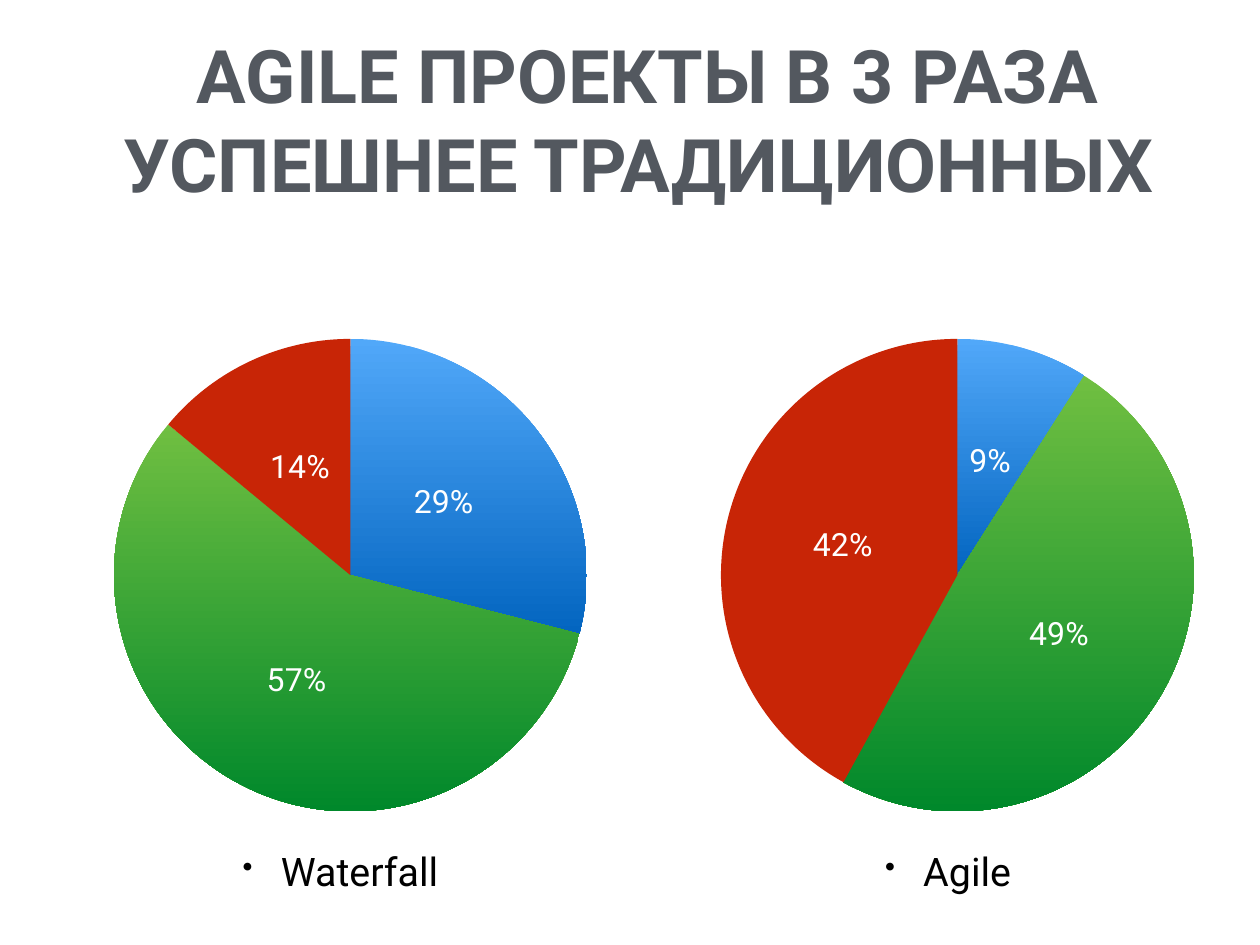
from dataclasses import dataclass

from lxml import etree
from pptx import Presentation
from pptx.chart.data import CategoryChartData
from pptx.dml.color import RGBColor
from pptx.enum.chart import XL_CHART_TYPE, XL_LABEL_POSITION
from pptx.enum.text import MSO_ANCHOR, MSO_AUTO_SIZE, PP_ALIGN
from pptx.oxml import parse_xml
from pptx.oxml.ns import nsdecls, qn
from pptx.util import Inches, Pt

PIE = XL_CHART_TYPE.PIE
MIDDLE = XL_LABEL_POSITION.CENTER
TOP = MSO_ANCHOR.TOP
FIXED = MSO_AUTO_SIZE.NONE
CENTER = PP_ALIGN.CENTER


@dataclass(frozen=True)
class Theme:
    font: str = "Roboto"
    title: str = "53585F"
    text: str = "000000"
    label: str = "FFFFFF"
    fills: tuple = (("51A8F9", "0365C0"), ("70BF41", "00882B"), ("C82506",))
    title_size: int = 60
    name_size: int = 32
    label_size: int = 26
    chart_size: int = 10


@dataclass(frozen=True)
class Method:
    name: str
    shares: tuple
    left: float
    name_left: float
    name_width: float


THEME = Theme()
TITLE = "AGILE ПРОЕКТЫ В 3 РАЗА УСПЕШНЕЕ ТРАДИЦИОННЫХ "
METHODS = (
    Method("Waterfall", (29, 57, 14), 1.26, 2.68, 2.56),
    Method("Agile", (9, 49, 42), 8.11, 9.93, 1.74),
)
PIE_TOP, PIE_SIZE = 3.8, 5.39
NAME_TOP, NAME_HEIGHT = 9.5, 0.71
INSET, INDENT = 0.06, 0.43


def style(font, size: int, color: str, bold: bool = False) -> None:
    font.name = THEME.font
    font.size = Pt(size)
    font.bold = bold
    font.color.rgb = RGBColor.from_string(color)


def set_frame(frame, top: float) -> None:
    frame.word_wrap = True
    frame.auto_size = FIXED
    frame.vertical_anchor = TOP
    frame.margin_left = frame.margin_right = frame.margin_bottom = Inches(INSET)
    frame.margin_top = Inches(top)


def add_title(slide) -> None:
    title = slide.shapes.title
    title.left, title.top = Inches(1.04), Inches(0.34)
    title.width, title.height = Inches(12.54), Inches(2.61)
    set_frame(title.text_frame, 0)
    para = title.text_frame.paragraphs[0]
    para.alignment = CENTER
    run = para.add_run()
    run.text = TITLE
    style(run.font, THEME.title_size, THEME.title, True)


def paint(fill, colors: tuple) -> None:
    if len(colors) == 1:
        fill.solid()
        fill.fore_color.rgb = RGBColor.from_string(colors[0])
        return
    fill.gradient()
    fill.gradient_angle = 270
    for stop, color in zip(fill.gradient_stops, colors):
        stop.color.rgb = RGBColor.from_string(color)


def fit_plot(chart) -> None:
    area = chart.element.chart.plotArea
    for old in area.findall(qn("c:layout")):
        area.remove(old)
    layout = parse_xml(f"<c:layout {nsdecls('c')}><c:manualLayout/></c:layout>")
    parts = (
        ("layoutTarget", "inner"), ("xMode", "edge"), ("yMode", "edge"),
        ("x", "0.005"), ("y", "0.005"), ("w", "0.99"), ("h", "0.99"),
    )
    for tag, value in parts:
        etree.SubElement(layout[0], qn(f"c:{tag}")).set("val", value)
    area.insert(0, layout)


def add_pie(slide, method: Method) -> None:
    data = CategoryChartData()
    data.categories = ["1", "2", "3"]
    data.add_series("Series 1", method.shares)
    chart = slide.shapes.add_chart(
        PIE, Inches(method.left), Inches(PIE_TOP),
        Inches(PIE_SIZE), Inches(PIE_SIZE), data,
    ).chart
    chart.has_title = chart.has_legend = False
    style(chart.font, THEME.chart_size, THEME.text)
    fit_plot(chart)
    plot = chart.plots[0]
    plot.vary_by_categories = True
    for index, colors in enumerate(THEME.fills):
        form = plot.series[0].points[index].format
        paint(form.fill, colors)
        form.line.fill.background()
    plot.has_data_labels = True
    labels = plot.data_labels
    labels.show_value = False
    labels.show_percentage = True
    labels.number_format = "#,##0%"
    labels.number_format_is_linked = False
    labels.position = MIDDLE
    style(labels.font, THEME.label_size, THEME.label)


def add_name(slide, method: Method) -> None:
    box = slide.shapes.add_textbox(
        Inches(method.name_left), Inches(NAME_TOP),
        Inches(method.name_width), Inches(NAME_HEIGHT),
    )
    set_frame(box.text_frame, INSET)
    para = box.text_frame.paragraphs[0]
    props = para._p.get_or_add_pPr()
    props.set("marL", str(Inches(INDENT)))
    props.set("indent", str(-Inches(INDENT)))
    etree.SubElement(props, qn("a:buSzPct")).set("val", "75000")
    etree.SubElement(props, qn("a:buChar")).set("char", "•")
    run = para.add_run()
    run.text = method.name
    style(run.font, THEME.name_size, THEME.text)


def main() -> None:
    deck = Presentation()
    deck.slide_width, deck.slide_height = Inches(14.22), Inches(10.67)
    slide = deck.slides.add_slide(deck.slide_layouts[5])
    add_title(slide)
    for method in METHODS:
        add_pie(slide, method)
        add_name(slide, method)
    deck.save("out.pptx")


if __name__ == "__main__":
    main()
